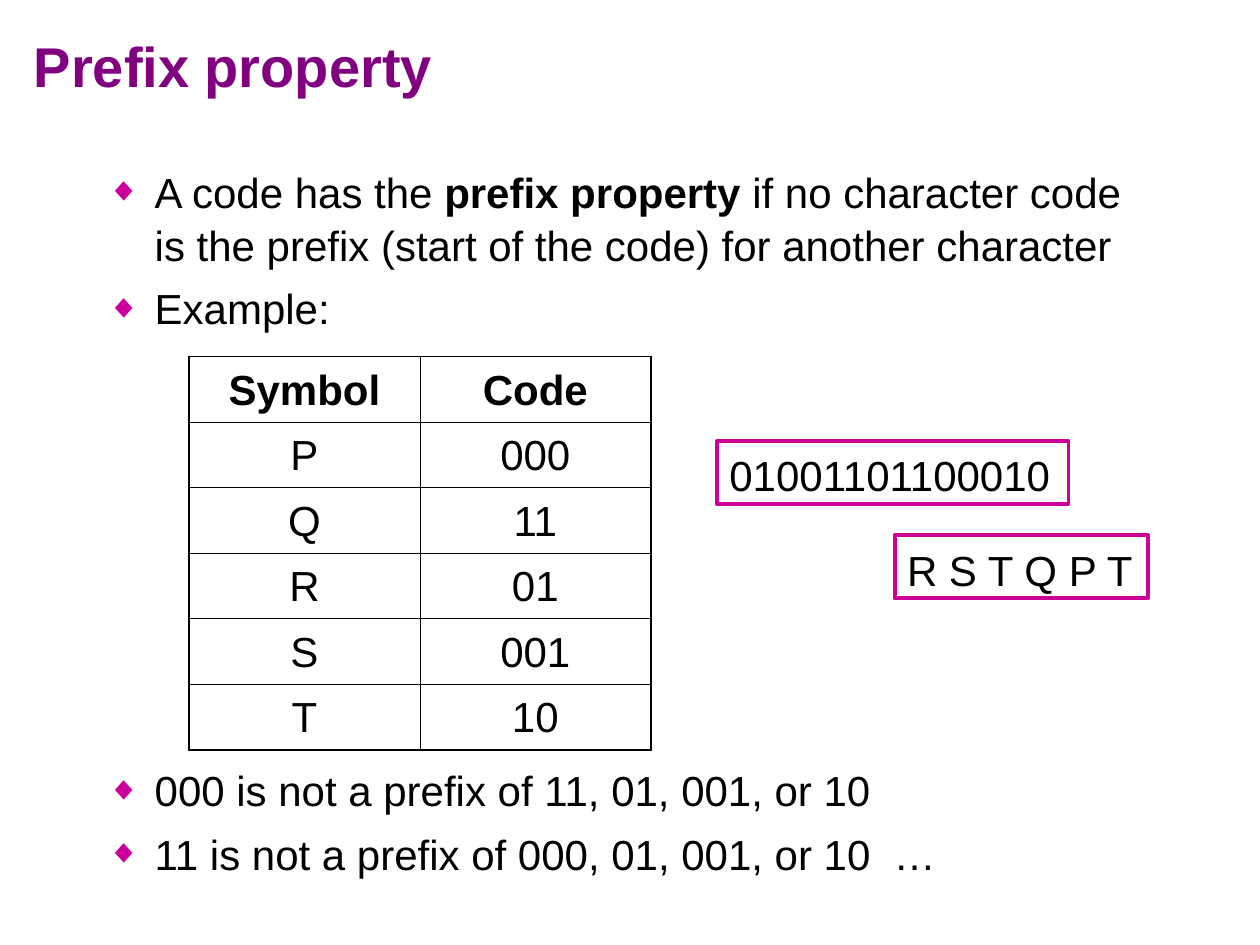
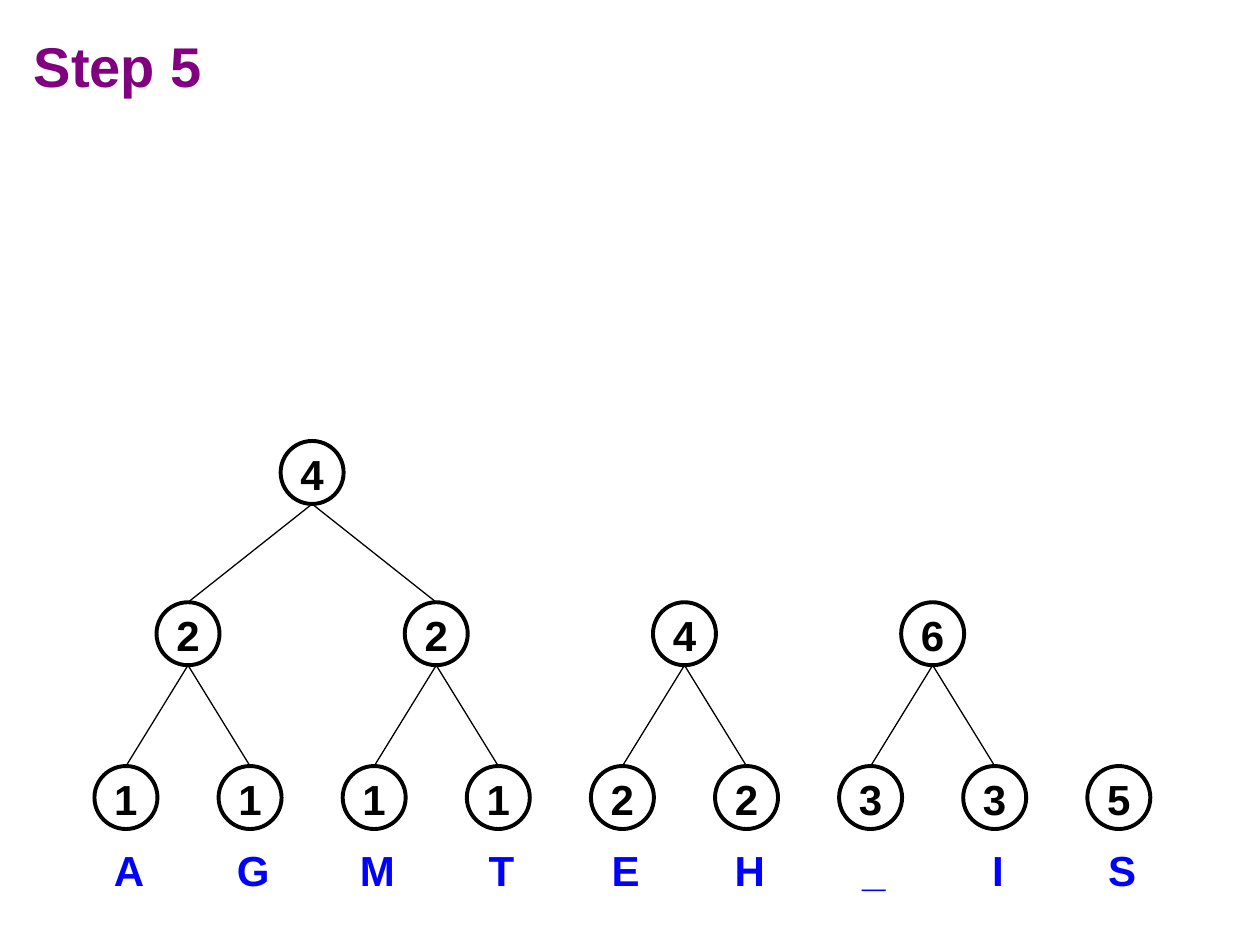
from collections import namedtuple
from lxml.etree import SubElement
from pptx import Presentation
from pptx.dml.color import RGBColor
from pptx.enum.shapes import MSO_CONNECTOR, MSO_SHAPE
from pptx.enum.text import MSO_ANCHOR, PP_ALIGN
from pptx.oxml.ns import qn
from pptx.util import Inches, Pt

BLACK = RGBColor(0, 0, 0)
PURPLE = RGBColor(0x80, 0, 0x80)
PINK = RGBColor(0xCC, 0, 0x99)
BLUE = RGBColor(0, 0, 0xFF)
FONT = "Arial"

Box = namedtuple("Box", "x y w h")  # in grid units, 40 columns by 30 rows
TITLE = Box(0.68, 0.16, 38.68, 3.68)
INTRO = Box(3, 5, 34, 6)
TABLE = Box(6, 11.32, 14.66, 12)
CLOSE = Box(3, 24, 34, 4)
BITS = Box(22.76, 14, 11.16, 2)
DECODED = Box(28.4, 17, 8.04, 2)
FOREST = Box(3, 14, 33.52, 14.5)

CODES = [("Symbol", "Code"), ("P", "000"), ("Q", "11"),
         ("R", "01"), ("S", "001"), ("T", "10")]

COUNTS = {"A": 1, "G": 1, "M": 1, "T": 1, "E": 2,
          "H": 2, "_": 3, "I": 3, "S": 5}
TREES = [(("A", "G"), ("M", "T")), ("E", "H"), ("_", "I"), "S"]
LEAVES = list(COUNTS)
NODE = 2
LEVELS = (10.32, 5.12, 0)  # row of leaves, pairs and root in the forest


def grid(*units):
    return [Inches(unit / 4) for unit in units]


def add_bullet(para):
    props = para._p.get_or_add_pPr()
    props.set("marL", str(Inches(0.38)))
    props.set("indent", str(-Inches(0.38)))
    color = SubElement(props, qn("a:buClr"))
    SubElement(color, qn("a:srgbClr"), val=str(PINK))
    SubElement(props, qn("a:buSzPct"), val="80000")
    SubElement(props, qn("a:buFont"), typeface=FONT)
    SubElement(props, qn("a:buChar"), char="◆")


def write(frame, *lines, size=24, color=BLACK, bold=False, wrap=True,
          align=PP_ALIGN.LEFT, anchor=MSO_ANCHOR.TOP, bullet=False):
    """Fill a frame, one paragraph a line; ** marks bold words."""
    frame.word_wrap = wrap
    frame.vertical_anchor = anchor
    for i, line in enumerate(lines):
        para = frame.add_paragraph() if i else frame.paragraphs[0]
        para.alignment = align
        para.line_spacing = 1.05
        if bullet:
            para.space_before = Pt(6)
            add_bullet(para)
        for j, part in enumerate(line.split("**")):
            run = para.add_run()
            run.text = part
            font = run.font
            font.name, font.size = FONT, Pt(size)
            font.bold = bold or j % 2 == 1
            font.color.rgb = color


def add_text(slide, box, *lines, **style):
    write(slide.shapes.add_textbox(*grid(*box)).text_frame, *lines, **style)


def add_frame(slide, kind, box, text, line, **style):
    """Add an outlined shape without fill."""
    shape = slide.shapes.add_shape(kind, *grid(*box))
    shape.shadow.inherit = False
    shape.fill.background()
    shape.line.color.rgb = line
    shape.line.width = Pt(2.25)
    write(shape.text_frame, text, wrap=False, **style)


def add_edge(slide, *ends):
    edge = slide.shapes.add_connector(MSO_CONNECTOR.STRAIGHT, *grid(*ends))
    edge.line.color.rgb = BLACK
    edge.line.width = Pt(0.75)
    SubElement(edge._element.spPr, qn("a:effectLst"))


def add_border(cell, outer):
    """Rule all four sides, thicker on the sides named in outer."""
    props = cell._tc.get_or_add_tcPr()
    for i, side in enumerate("LRTB"):
        width = Pt(1.08 if side in outer else 0.45)
        rule = SubElement(props, qn(f"a:ln{side}"), w=str(width))
        fill = SubElement(rule, qn("a:solidFill"))
        SubElement(fill, qn("a:srgbClr"), val=str(BLACK))


def add_codes(slide, box):
    rows, cols = len(CODES), len(CODES[0])
    table = slide.shapes.add_table(rows, cols, *grid(*box)).table
    table.first_row = table.horz_banding = False
    for r, record in enumerate(CODES):
        for c, text in enumerate(record):
            cell = table.cell(r, c)
            outer = "LR"[c] + {0: "T", rows - 1: "B"}.get(r, "")
            add_border(cell, outer)
            cell.fill.background()
            cell.vertical_anchor = MSO_ANCHOR.MIDDLE
            write(cell.text_frame, text, bold=r == 0,
                  align=PP_ALIGN.CENTER, anchor=MSO_ANCHOR.MIDDLE)


def add_tree(slide, box, tree):
    """Draw a tree from its leaves up; return its count, centre and level."""
    if isinstance(tree, str):
        pitch = (box.w - NODE) / (len(LEAVES) - 1)
        count, level = COUNTS[tree], 0
        mid = box.x + NODE / 2 + pitch * LEAVES.index(tree)
        add_text(slide, Box(mid - 0.9, box.y + 12.52, NODE, 2), tree,
                 color=BLUE, bold=True, wrap=False, align=PP_ALIGN.CENTER)
    else:
        kids = [add_tree(slide, box, kid) for kid in tree]
        count = sum(kid[0] for kid in kids)
        mid = sum(kid[1] for kid in kids) / len(kids)
        level = kids[0][2] + 1
        foot = box.y + LEVELS[level] + NODE
        for _, x, below in kids:
            add_edge(slide, x, box.y + LEVELS[below], mid, foot)
    spot = Box(mid - NODE / 2, box.y + LEVELS[level], NODE, NODE)
    add_frame(slide, MSO_SHAPE.FLOWCHART_CONNECTOR, spot, str(count), BLACK,
              bold=True, align=PP_ALIGN.CENTER, anchor=MSO_ANCHOR.MIDDLE)
    return count, mid, level


def add_slide(deck, title):
    slide = deck.slides.add_slide(deck.slide_layouts[6])
    add_text(slide, TITLE, title, size=32, color=PURPLE, bold=True,
             anchor=MSO_ANCHOR.MIDDLE)
    return slide


def prefix_slide(deck):
    slide = add_slide(deck, "Prefix property")
    add_text(slide, INTRO,
             "A code has the **prefix property** if no character code "
             "is the prefix (start of the code) for another character",
             "Example:", bullet=True)
    add_codes(slide, TABLE)
    add_text(slide, CLOSE,
             "000 is not a prefix of 11, 01, 001, or 10",
             "11 is not a prefix of 000, 01, 001, or 10  …", bullet=True)
    for box, text in ((BITS, "01001101100010"), (DECODED, "R S T Q P T")):
        add_frame(slide, MSO_SHAPE.RECTANGLE, box, text, PINK)


def step_slide(deck):
    slide = add_slide(deck, "Step 5")
    for tree in TREES:
        add_tree(slide, FOREST, tree)


def main():
    deck = Presentation()
    deck.slide_width, deck.slide_height = grid(40, 30)
    prefix_slide(deck)
    step_slide(deck)
    deck.save("out.pptx")


if __name__ == "__main__":
    main()
